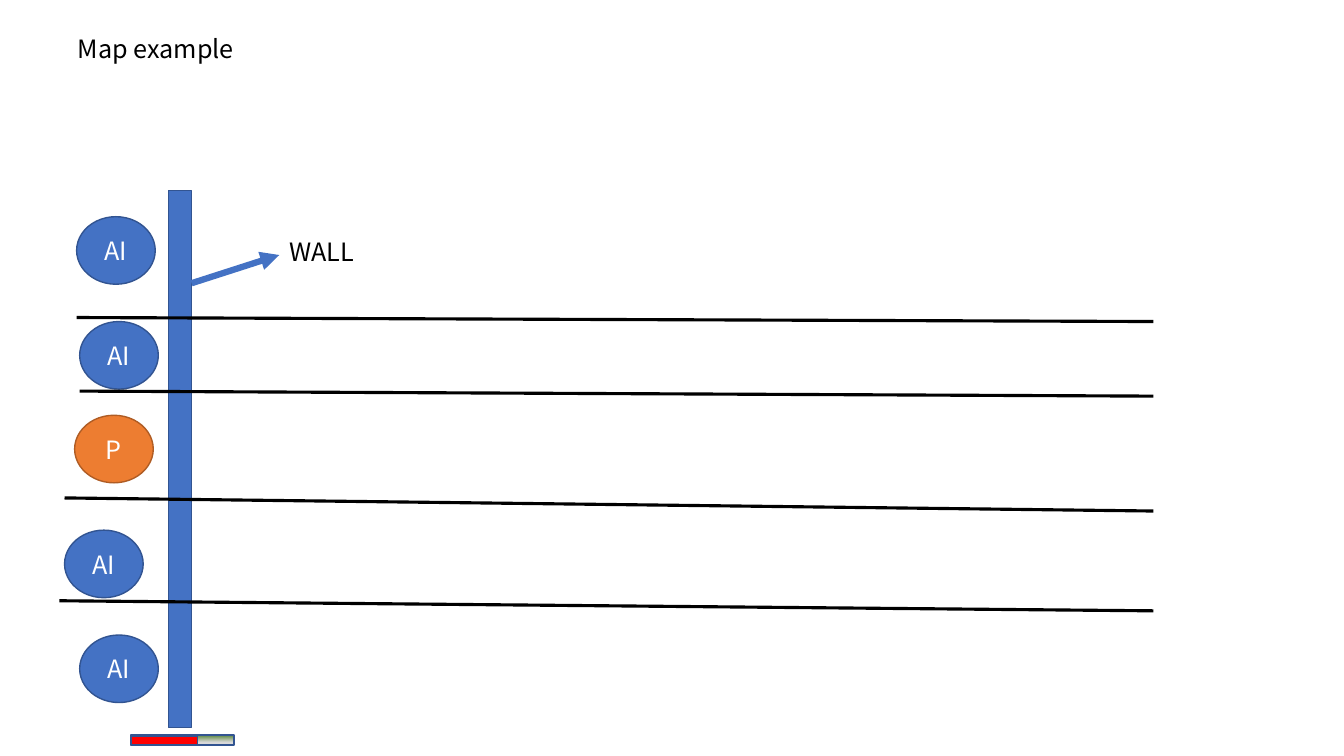
import pptx
import pptx.util
import pptx.dml.color
import pptx.enum.shapes
import pptx.enum.text
import pptx.oxml
import pptx.oxml.ns
from pptx.util import Inches

SHAPE = pptx.enum.shapes.MSO_SHAPE
ALIGN = pptx.enum.text.PP_ALIGN
ANCHOR = pptx.enum.text.MSO_ANCHOR


def rgb(value):
    return pptx.dml.color.RGBColor.from_string(value)


def add_xml(parent, tag, **attributes):
    el = pptx.oxml.parse_xml(f"<a:{tag} {pptx.oxml.ns.nsdecls('a')}/>")
    for name, value in attributes.items():
        el.set(name, str(value))
    parent.append(el)
    return el


class MapSlide:
    FONT = "Noto Sans CJK KR"
    SIZE = 18
    BLUE, ORANGE, RED, BLACK, WHITE = "4472C4", "ED7D31", "FF0000", "000000", "FFFFFF"
    BLUE_EDGE, ORANGE_EDGE = "325491", "AF5C24"

    def __init__(self, prs):
        self.s = prs.slides.add_slide(prs.slide_layouts[5])

    def put_text(self, tf, text, color=BLACK, align=ALIGN.LEFT, anchor=ANCHOR.TOP):
        tf.word_wrap = True
        tf.vertical_anchor = anchor
        p = tf.paragraphs[0]
        p.alignment = align
        p.space_before = pptx.util.Pt(0)
        p.line_spacing = 1.0
        r = p.add_run()
        r.text = text
        r.font.name = self.FONT
        r.font.size = pptx.util.Pt(self.SIZE)
        r.font.color.rgb = rgb(color)

    def title(self, text, x, y, w, h):
        sp = self.s.shapes.title
        sp.left, sp.top, sp.width, sp.height = map(Inches, (x, y, w, h))
        self.put_text(sp.text_frame, text)
        sp.text_frame.auto_size = pptx.enum.text.MSO_AUTO_SIZE.NONE

    def label(self, text, x, y, w, h):
        sp = self.s.shapes.add_textbox(*map(Inches, (x, y, w, h)))
        self.put_text(sp.text_frame, text)

    def shape(self, kind, x, y, w, h, fill=BLUE, edge=BLUE_EDGE, text=None):
        sp = self.s.shapes.add_shape(kind, *map(Inches, (x, y, w, h)))
        sp.shadow.inherit = False
        sp.fill.solid()
        sp.fill.fore_color.rgb = rgb(fill)
        sp.line.color.rgb = rgb(edge)
        sp.line.width = pptx.util.Pt(1)
        if text:
            self.put_text(sp.text_frame, text, self.WHITE, ALIGN.CENTER, ANCHOR.MIDDLE)
        return sp

    def gradient(self, sp, stops):
        sp.fill.gradient()
        sp.fill.gradient_angle = 270  # counter-clockwise: runs top to bottom
        stop_list = sp._element.spPr.find(".//" + pptx.oxml.ns.qn("a:gsLst"))
        for old in list(stop_list):
            stop_list.remove(old)
        for percent, color in stops:
            add_xml(add_xml(stop_list, "gs", pos=percent * 1000), "srgbClr", val=color)

    def line(self, x1, y1, x2, y2, color=BLACK, width=2.25, arrow=False):
        c = self.s.shapes.add_connector(
            pptx.enum.shapes.MSO_CONNECTOR.STRAIGHT, *map(Inches, (x1, y1, x2, y2)))
        c.line.color.rgb = rgb(color)
        c.line.width = pptx.util.Pt(width)
        spPr = c._element.spPr
        if arrow:
            add_xml(spPr.find(pptx.oxml.ns.qn("a:ln")), "tailEnd", type="triangle")
        add_xml(spPr, "effectLst")


def main():
    prs = pptx.Presentation()
    prs.slide_width, prs.slide_height = Inches(13.33), Inches(7.5)
    m = MapSlide(prs)
    m.title("Map example", 0.67, 0.28, 5.26, 0.4)

    # Player and AI opponents, one per lane
    m.shape(SHAPE.OVAL, 0.74, 4.12, 0.78, 0.67, m.ORANGE, m.ORANGE_EDGE, "P")
    for x, y in ((0.79, 6.3), (0.64, 5.26), (0.79, 3.19), (0.76, 2.15)):
        m.shape(SHAPE.OVAL, x, y, 0.78, 0.67, text="AI")

    # Wall with its label
    m.shape(SHAPE.RECTANGLE, 1.67, 1.89, 0.23, 5.33)
    m.label("WALL", 2.77, 2.3, 2.15, 0.4)
    m.line(1.9, 2.81, 2.77, 2.53, m.BLUE, 4.5, arrow=True)

    # Lane borders, all ending at the same right edge
    for x, y1, y2 in ((0.59, 5.96, 6.06), (0.76, 3.15, 3.19),
                      (0.64, 4.94, 5.07), (0.79, 3.88, 3.93)):
        m.line(x, y1, 11.44, y2)

    # Health bar of the wall
    bar = m.shape(SHAPE.RECTANGLE, 1.3, 7.29, 1.02, 0.1)
    m.gradient(bar, ((0, "548235"), (74, "D7D7D7"), (83, "D7D7D7"), (100, "E4E4E4")))
    m.shape(SHAPE.RECTANGLE, 1.3, 7.3, 0.66, 0.09, m.RED)

    prs.save("out.pptx")


if __name__ == "__main__":
    main()
